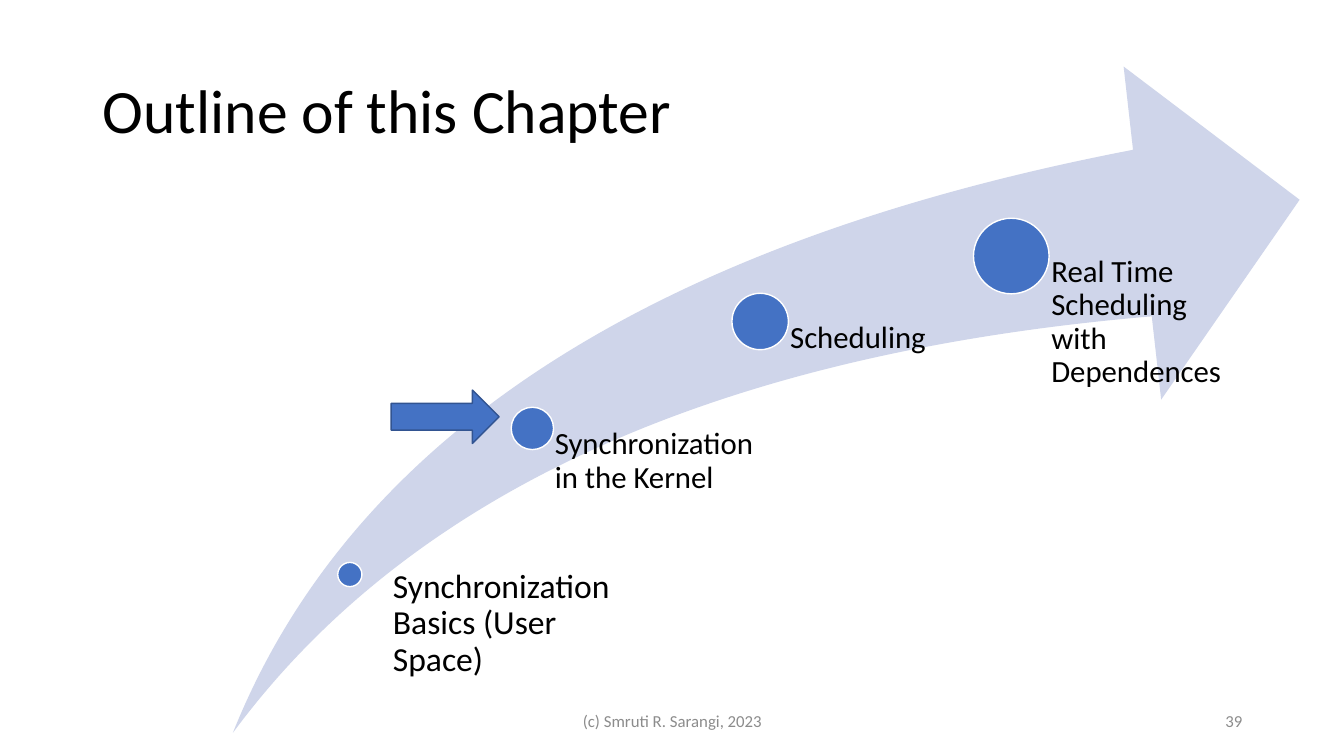
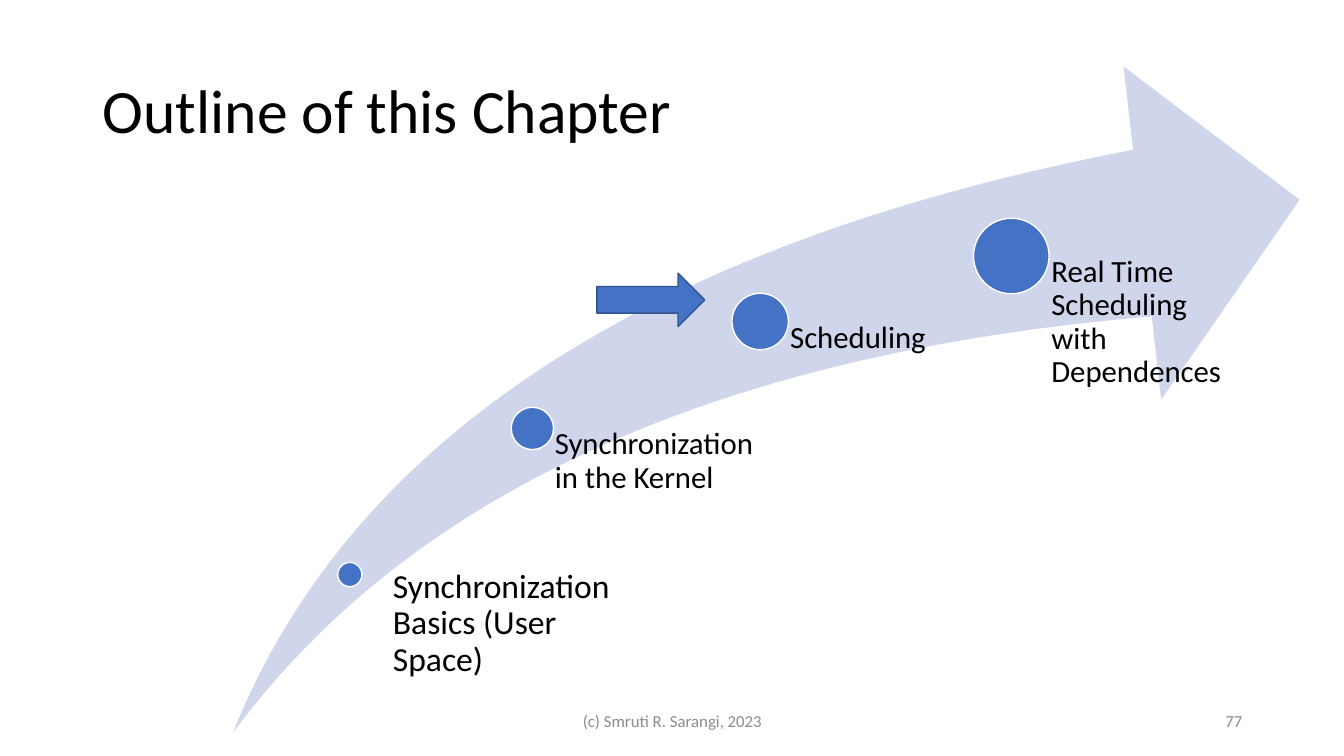
from dataclasses import dataclass
from pptx import Presentation
from pptx.dml.color import RGBColor as Rgb
from pptx.enum.shapes import MSO_SHAPE as Kind
from pptx.enum.text import MSO_ANCHOR as Anchor, MSO_AUTO_SIZE as Fit, PP_ALIGN as Align
from pptx.util import Inches, Pt

TITLE = "Outline of this Chapter"
CREDIT = "(c) Smruti R. Sarangi, 2023"
SLIDES = [
    {"number": "39", "pointer": (3.88, 3.87)},
    {"number": "77", "pointer": (5.92, 2.71)},
]
STOPS = [
    {"text": "Synchronization Basics (User Space)", "mid": (3.47, 5.7), "dot": 0.24,
     "shift": (0.3, -0.05), "wide": 2.37, "size": 24},
    {"text": "Synchronization in the Kernel", "mid": (5.28, 4.25), "dot": 0.42},
    {"text": "Scheduling", "mid": (7.54, 3.19), "dot": 0.56},
    {"text": "Real Time Scheduling with Dependences", "mid": (10.03, 2.54), "dot": 0.75},
]


@dataclass(frozen=True)
class Theme:
    font: str = "Calibri"
    ink: str = "000000"
    grey: str = "8C8C8C"
    paper: str = "FFFFFF"
    band: str = "CFD5EA"
    blue: str = "4472C4"
    edge: str = "325491"
    title: int = 44
    label: int = 22
    foot: int = 12


LOOK = Theme()
WIDE, HIGH = 13.33, 7.5
BASE = 7.27
SWOOSH = (2.31, 0.66, 10.58, 6.61)
LABEL_WIDE = 2.22
INSET = 0.53
POINTER = (1.07, 0.53)
FOOT_TOP, FOOT_HIGH = 6.95, 0.4


def write(frame, text, size, color, align=Align.LEFT, space=None):
    frame.word_wrap = True
    frame.auto_size = Fit.NONE
    para = frame.paragraphs[0]
    para.alignment = align
    para.line_spacing = space
    run = para.add_run()
    run.text = text
    run.font.name = LOOK.font
    run.font.size = Pt(size)
    run.font.color.rgb = Rgb.from_string(color)


def draw(shapes, kind, box, fill, line=None):
    shape = shapes.add_shape(kind, *map(Inches, box))
    shape.shadow.inherit = False
    shape.fill.solid()
    shape.fill.fore_color.rgb = Rgb.from_string(fill)
    if line:
        shape.line.color.rgb = Rgb.from_string(line)
        shape.line.width = Pt(1)
    else:
        shape.line.fill.background()
    return shape


def add_title(slide):
    title = slide.shapes.title
    title.left, title.top, title.width, title.height = map(Inches, (0.92, 0.4, 11.5, 1.45))
    title.text_frame.vertical_anchor = Anchor.MIDDLE
    write(title.text_frame, TITLE, LOOK.title, LOOK.ink, space=0.9)


def add_stop(shapes, stop):
    (x, y), dot = stop["mid"], stop["dot"]
    draw(shapes, Kind.OVAL, (x - dot / 2, y - dot / 2, dot, dot), LOOK.blue, LOOK.paper)
    dx, dy = stop.get("shift", (0, 0))
    box = (x + dx, y + dy, stop.get("wide", LABEL_WIDE), BASE - y - dy)
    frame = shapes.add_textbox(*map(Inches, box)).text_frame
    frame.margin_left = Inches(dot * INSET)
    frame.margin_top = frame.margin_right = frame.margin_bottom = 0
    write(frame, stop["text"], stop.get("size", LOOK.label), LOOK.ink, space=0.9)


def add_path(slide):
    shapes = slide.shapes.add_group_shape().shapes
    swoosh = draw(shapes, Kind.SWOOSH_ARROW, SWOOSH, LOOK.band)
    swoosh.adjustments[0] = swoosh.adjustments[1] = 0.25
    for stop in STOPS:
        add_stop(shapes, stop)


def add_foot(slide, number):
    for left, wide, text, align in (
        (4.42, 4.5, CREDIT, Align.CENTER),
        (9.42, 3, number, Align.RIGHT),
    ):
        box = (left, FOOT_TOP, wide, FOOT_HIGH)
        frame = slide.shapes.add_textbox(*map(Inches, box)).text_frame
        frame.vertical_anchor = Anchor.MIDDLE
        write(frame, text, LOOK.foot, LOOK.grey, align)


def main():
    deck = Presentation()
    deck.slide_width, deck.slide_height = Inches(WIDE), Inches(HIGH)
    for item in SLIDES:
        slide = deck.slides.add_slide(deck.slide_layouts[5])
        add_title(slide)
        add_path(slide)
        draw(slide.shapes, Kind.RIGHT_ARROW, item["pointer"] + POINTER, LOOK.blue, LOOK.edge)
        add_foot(slide, item["number"])
    deck.save("out.pptx")


if __name__ == "__main__":
    main()
